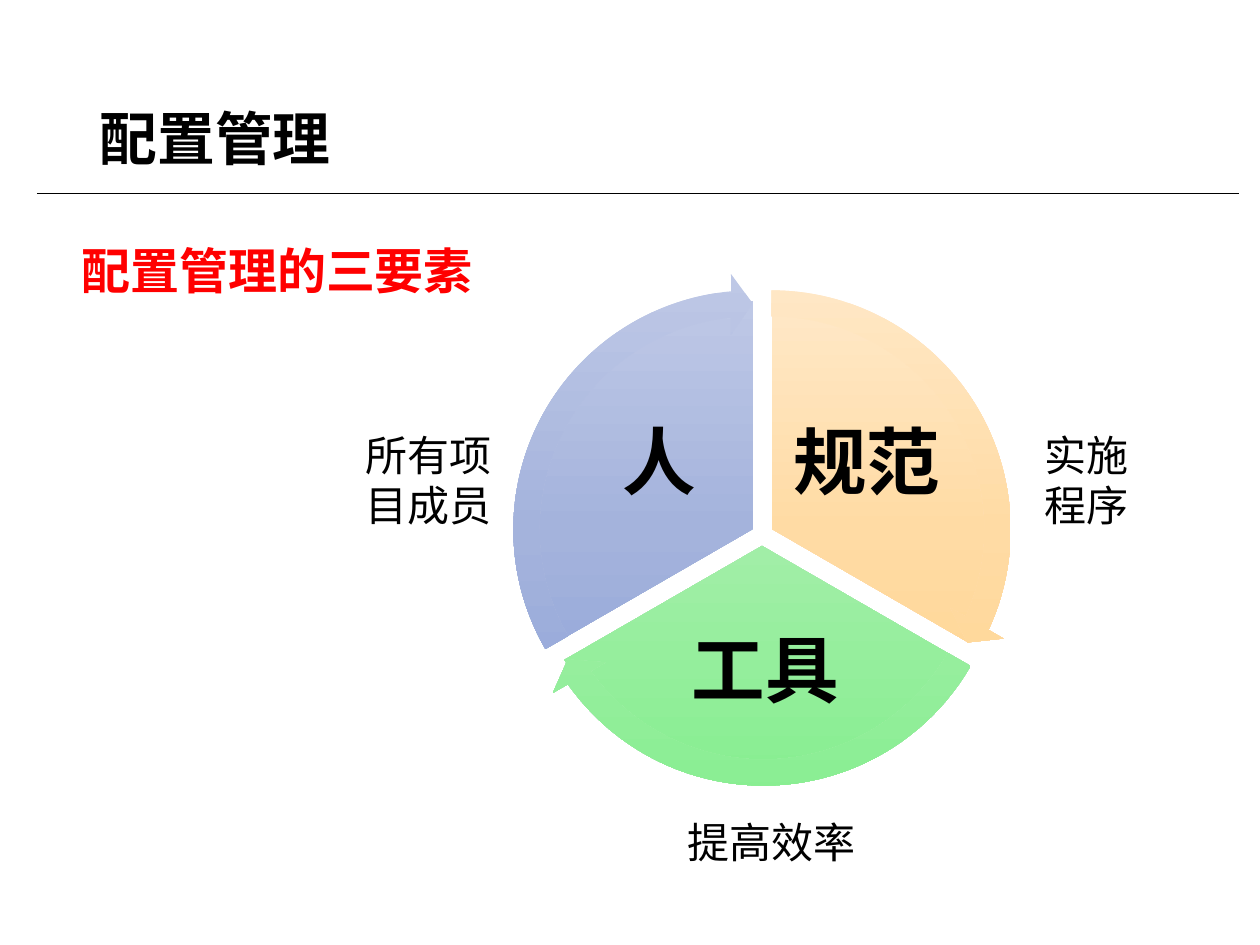
import pptx
import pptx.dml.color
import pptx.enum.shapes
import pptx.enum.text
import pptx.oxml.ns
import pptx.util
from lxml import etree

SHAPE = pptx.enum.shapes.MSO_SHAPE
ALIGN = pptx.enum.text.PP_ALIGN
ANCHOR = pptx.enum.text.MSO_ANCHOR
AUTO_SIZE = pptx.enum.text.MSO_AUTO_SIZE
qn = pptx.oxml.ns.qn

EMU_PER_PX = 914400 / 126


class Theme:
    font = "Calibri"
    black = "000000"
    red = "FF0000"
    title_size = 33
    heading_size = 28
    sector_size = 42
    note_size = 24
    orange = ("FFE8C7", "FFDBA4", "FFD58F")
    green = ("BEF3C2", "A1EEA7", "89EE92")
    blue = ("BEC8E6", "A4B3DC", "90A4D9")


PIE_SIZE = 456
ARROW_SIZE = 513
# Label, label box, gradient, pie corner, pie angles, arrow corner, arrow angles
SECTORS = [
    ("规范", (785, 398, 163, 136), Theme.orange, (544, 301), (162, 18), (515, 273), (14.72, 161.99)),
    ("工具", (643, 614, 244, 120), Theme.green, (534, 318), (18, 90), (507, 290), (86.72, 18)),
    ("人", (578, 398, 163, 136), Theme.blue, (525, 301), (90, 162), (496, 273), (158.73, 90)),
]
NOTES = [
    ("所有项目成员", (353, 423, 164, 115)),
    ("实施程序", (1032, 423, 127, 115)),
    ("提高效率", (675, 810, 198, 63)),
]


def px(length):
    return pptx.util.Emu(round(length * EMU_PER_PX))


def set_all(target, values):
    for name, value in values.items():
        setattr(target, name, value)


def write_text(shape, text, size, color=Theme.black, bold=False, frame=None, paragraph=None):
    """Fill the shape with one paragraph; frame and paragraph are format values."""
    text_frame = shape.text_frame
    set_all(text_frame, frame or {})
    first = text_frame.paragraphs[0]
    set_all(first, paragraph or {})
    run = first.add_run()
    run.text = text
    set_all(run.font, {"name": Theme.font, "size": pptx.util.Pt(size), "bold": bold})
    run.font.color.rgb = pptx.dml.color.RGBColor.from_string(color)


def add_text(slide, box, text, size, **formats):
    shape = slide.shapes.add_textbox(*map(px, box))
    write_text(shape, text, size, **formats)


def fill_gradient(shape, colors):
    """Run evenly spaced colours from the top of the shape to its bottom."""
    shape.fill.gradient()
    shape.fill.gradient_angle = 270
    stops = shape._element.spPr.find(qn("a:gradFill")).find(qn("a:gsLst"))
    for stop in list(stops):
        stops.remove(stop)
    for index, color in enumerate(colors):
        position = index * 100000 // (len(colors) - 1)
        stop = etree.SubElement(stops, qn("a:gs"), pos=str(position))
        etree.SubElement(stop, qn("a:srgbClr"), val=color)


def add_gradient_shape(slide, kind, corner, size, adjustments, colors):
    shape = slide.shapes.add_shape(kind, *map(px, (*corner, size, size)))
    shape.shadow.inherit = False
    shape.line.fill.background()
    for index, value in enumerate(adjustments):
        shape.adjustments[index] = value
    fill_gradient(shape, colors)


def add_title(slide, text):
    title = slide.shapes.title
    set_all(title, dict(zip(("left", "top", "width", "height"), map(px, (87, 50, 1086, 183)))))
    write_text(title, text, Theme.title_size, bold=True,
               frame={"vertical_anchor": ANCHOR.MIDDLE},
               paragraph={"alignment": ALIGN.LEFT, "line_spacing": 0.9})


def add_rule(slide):
    rule = slide.shapes.add_connector(
        pptx.enum.shapes.MSO_CONNECTOR.STRAIGHT, *map(px, (37, 193, 1239, 193)))
    rule.line.width = pptx.util.Pt(0.5)
    rule.line.color.rgb = pptx.dml.color.RGBColor.from_string(Theme.black)
    etree.SubElement(rule._element.spPr, qn("a:effectLst"))


def add_cycle(slide):
    margins = {f"margin_{side}": px(8) for side in ("left", "top", "right", "bottom")}
    frame = {"word_wrap": True, "vertical_anchor": ANCHOR.MIDDLE, **margins}
    for label, box, colors, corner, angles, _, _ in SECTORS:
        add_gradient_shape(slide, SHAPE.PIE, corner, PIE_SIZE, angles, colors)
        add_text(slide, box, label, Theme.sector_size, bold=True, frame=frame,
                 paragraph={"alignment": ALIGN.CENTER, "line_spacing": 0.9})
    for _, _, colors, _, _, corner, (end, start) in SECTORS:
        adjustments = (0.05085, 3.275, end, start, 0.05932)
        add_gradient_shape(slide, SHAPE.CIRCULAR_ARROW, corner, ARROW_SIZE, adjustments, colors)


def main():
    presentation = pptx.Presentation()
    set_all(presentation, {"slide_width": px(1260), "slide_height": px(945)})
    slide = presentation.slides.add_slide(presentation.slide_layouts[5])
    add_rule(slide)
    add_title(slide, "配置管理")
    add_cycle(slide)
    add_text(slide, (69, 234, 423, 72), "配置管理的三要素", Theme.heading_size,
             color=Theme.red, bold=True,
             frame={"word_wrap": False, "auto_size": AUTO_SIZE.SHAPE_TO_FIT_TEXT})
    for text, box in NOTES:
        add_text(slide, box, text, Theme.note_size,
                 frame={"word_wrap": True, "auto_size": AUTO_SIZE.SHAPE_TO_FIT_TEXT})
    presentation.save("out.pptx")


if __name__ == "__main__":
    main()
